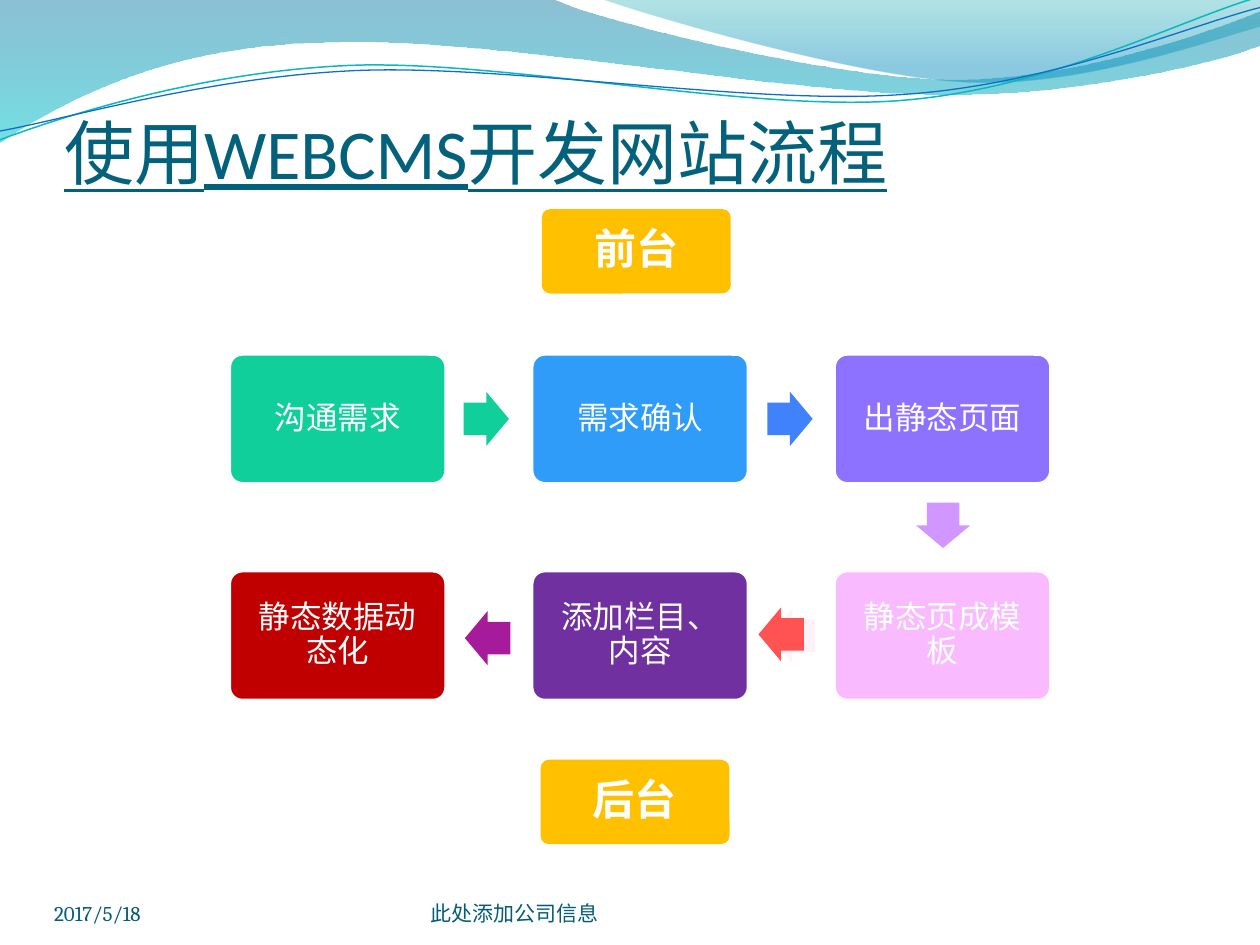
from lxml.etree import SubElement
from pptx import Presentation
from pptx.dml.color import RGBColor
from pptx.enum.shapes import MSO_SHAPE
from pptx.enum.text import MSO_ANCHOR, PP_ALIGN
from pptx.oxml.ns import qn
from pptx.util import Inches, Pt

WHITE = RGBColor(0xFF, 0xFF, 0xFF)
TITLE_TEAL = RGBColor(0x04, 0x61, 0x7B)
FOOTER_TEAL = RGBColor(0x04, 0x5D, 0x75)
AMBER = RGBColor(0xFF, 0xC0, 0x00)
GREEN = RGBColor(0x10, 0xCF, 0x9B)
BLUE = RGBColor(0x2F, 0x9C, 0xF9)
ROYAL = RGBColor(0x3F, 0x82, 0xFB)
VIOLET = RGBColor(0x8D, 0x72, 0xFF)
LILAC = RGBColor(0xD1, 0x96, 0xFF)
PINK = RGBColor(0xFA, 0xBA, 0xFF)
PALE_PINK = RGBColor(0xFF, 0xF1, 0xF8)
PURPLE = RGBColor(0x70, 0x30, 0xA0)
RED = RGBColor(0xC0, 0x00, 0x00)
CORAL = RGBColor(0xFF, 0x53, 0x53)
MAGENTA = RGBColor(0xA6, 0x1A, 0x9C)
WAVE_BLUE = RGBColor(0x00, 0x74, 0xA1)
WAVE_CYAN = RGBColor(0x00, 0xC6, 0xCF)
WAVE_TEAL = RGBColor(0x00, 0xA1, 0xA9)
WAVE_SKY = RGBColor(0x00, 0x8B, 0xBF)
LINE_TEAL = RGBColor(0x0A, 0xB8, 0xBF)
LINE_BLUE = RGBColor(0x0F, 0x6F, 0xC6)

prs = Presentation()
prs.slide_width, prs.slide_height = Inches(10), Inches(7.5)
slide = prs.slides.add_slide(prs.slide_layouts[5])
shapes = slide.shapes


def add_curve(start, segments, closed):
    """Draw a path whose segments are end points (2 numbers) or cubic Beziers (6)."""
    points = [start]
    for segment in segments:
        if len(segment) == 2:
            points.append(segment)
            continue
        x0, y0 = points[-1]
        x1, y1, x2, y2, x3, y3 = segment
        for step in range(1, 31):
            t = step / 30
            a, b, c, d = (1 - t) ** 3, 3 * t * (1 - t) ** 2, 3 * t * t * (1 - t), t ** 3
            points.append((a * x0 + b * x1 + c * x2 + d * x3,
                           a * y0 + b * y1 + c * y2 + d * y3))
    corners = [(Inches(x), Inches(y)) for x, y in points]
    builder = shapes.build_freeform(*corners[0])
    builder.add_line_segments(corners[1:], close=closed)
    curve = builder.convert_to_shape()
    curve.shadow.inherit = False
    return curve


def add_block(preset, left, top, width, height, color, text="", size=18, inset=0.11):
    block = shapes.add_shape(preset, Inches(left), Inches(top), Inches(width), Inches(height))
    block.shadow.inherit = False
    block.fill.solid()
    block.fill.fore_color.rgb = color
    block.line.fill.background()
    if text:
        block.adjustments[0] = 0.1
        frame = block.text_frame
        frame.margin_left = frame.margin_right = Inches(inset)
        frame.margin_top = frame.margin_bottom = Inches(inset)
        frame.vertical_anchor = MSO_ANCHOR.MIDDLE
        frame.text = text
        paragraph = frame.paragraphs[0]
        paragraph.alignment = PP_ALIGN.CENTER
        paragraph.line_spacing = 0.9
        font = paragraph.runs[0].font
        font.name, font.size, font.color.rgb = "Cambria", Pt(size), WHITE
    else:
        block.adjustments[0] = 0.6
    return block


# Waves across the top
waves = [
    ((0, 0),
     [(4.4, 0), (4.76, 0.17, 6.64, 0.63, 7.58, 0.63), (8.53, 0.63, 9.58, 0.26, 10, 0.09),
      (10, 0.36), (9.83, 0.44, 8.7, 0.76, 7.46, 0.75), (6.22, 0.75, 3.82, 0.28, 2.57, 0.34),
      (1.29, 0.36, 0.46, 0.83, 0, 1.13)],
     [(0, WAVE_BLUE, 45), (1, WAVE_CYAN, 55)]),
    ((4.79, 0),
     [(5.09, 0.11, 6.82, 0.62, 7.69, 0.65), (8.56, 0.69, 9.61, 0.32, 10, 0.21), (10, 0)],
     [(0, WAVE_TEAL, 30), (0.8, WAVE_SKY, 45)]),
]
for start, segments, stops in waves:
    wave = add_curve(start, segments, True)
    wave.line.fill.background()
    wave.fill.gradient()
    wave.fill.gradient_angle = 270
    for stop, (position, color, opacity) in zip(wave.fill.gradient_stops, stops):
        stop.position = position
        stop.color.rgb = color
    for tint, (_, _, opacity) in zip(wave.element.spPr.iter(qn("a:srgbClr")), stops):
        SubElement(tint, qn("a:alpha")).set("val", str(opacity * 1000))

wave_lines = [
    ((0, 1.11),
     [(0.48, 0.93, 1.58, 0.57, 2.77, 0.52), (3.95, 0.47, 5.93, 0.89, 7.13, 0.8),
      (8.33, 0.71, 9.38, 0.15, 9.98, -0.02)], LINE_TEAL, 0.85),
    ((0, 1.04),
     [(0.47, 0.96, 1.64, 0.61, 2.83, 0.56), (4.03, 0.51, 5.97, 0.84, 7.17, 0.75),
      (8.36, 0.67, 9.41, 0.21, 10, 0.06)], LINE_BLUE, 0.75),
]
for start, segments, color, weight in wave_lines:
    wave_line = add_curve(start, segments, False)
    wave_line.fill.background()
    wave_line.line.color.rgb = color
    wave_line.line.width = Pt(weight)

# Title and footer
title = shapes.title
title.left, title.top, title.width, title.height = Inches(0.51), Inches(0.68), Inches(9), Inches(0.86)
date = shapes.add_textbox(Inches(0.43), Inches(7.06), Inches(2.33), Inches(0.29))
company = shapes.add_textbox(Inches(3.42), Inches(7.06), Inches(3.17), Inches(0.29))
for holder, text, font_name, size, color in [
    (title, "使用WEBCMS开发网站流程", "Calibri", 40, TITLE_TEAL),
    (date, "2017/5/18", "Cambria", 12, FOOTER_TEAL),
    (company, "此处添加公司信息", "Cambria", 12, FOOTER_TEAL),
]:
    frame = holder.text_frame
    frame.word_wrap = True
    frame.margin_left = frame.margin_right = frame.margin_top = frame.margin_bottom = 0
    frame.vertical_anchor = MSO_ANCHOR.BOTTOM
    frame.text = text
    frame.paragraphs[0].alignment = PP_ALIGN.LEFT
    font = frame.paragraphs[0].runs[0].font
    font.name, font.size, font.color.rgb = font_name, Pt(size), color
    font.underline = holder is title

# Front-end and back-end labels
for text, left, top in [("前台", 4.3, 1.66), ("后台", 4.29, 6.03)]:
    label = add_block(MSO_SHAPE.ROUNDED_RECTANGLE, left, top, 1.5, 0.67, AMBER, text, 24, 0.08)
    label.text_frame.paragraphs[0].runs[0].font.bold = True

# Process steps on a 3 x 2 grid
step_rows = [
    [("沟通需求", GREEN), ("需求确认", BLUE), ("出静态页面", VIOLET)],
    [("静态数据动态化", RED), ("添加栏目、内容", PURPLE), ("静态页成模板", PINK)],
]
for row, steps in enumerate(step_rows):
    for column, (text, color) in enumerate(steps):
        step_box = add_block(MSO_SHAPE.ROUNDED_RECTANGLE, 1.82 + 2.4 * column, 2.81 + 1.72 * row,
                             1.72, 1.03, color, text)
        step_box.line.color.rgb = WHITE
        step_box.line.width = Pt(2)

# Arrows between the steps
for preset, left, top, color in [
    (MSO_SHAPE.RIGHT_ARROW, 3.68, 3.11, GREEN),
    (MSO_SHAPE.RIGHT_ARROW, 6.09, 3.11, ROYAL),
    (MSO_SHAPE.LEFT_ARROW, 6.11, 4.83, PALE_PINK),
    (MSO_SHAPE.LEFT_ARROW, 6.02, 4.82, CORAL),
    (MSO_SHAPE.LEFT_ARROW, 3.69, 4.85, MAGENTA),
]:
    add_block(preset, left, top, 0.36, 0.43, color)
add_block(MSO_SHAPE.DOWN_ARROW, 7.27, 3.99, 0.43, 0.36, LILAC)

prs.save("out.pptx")
